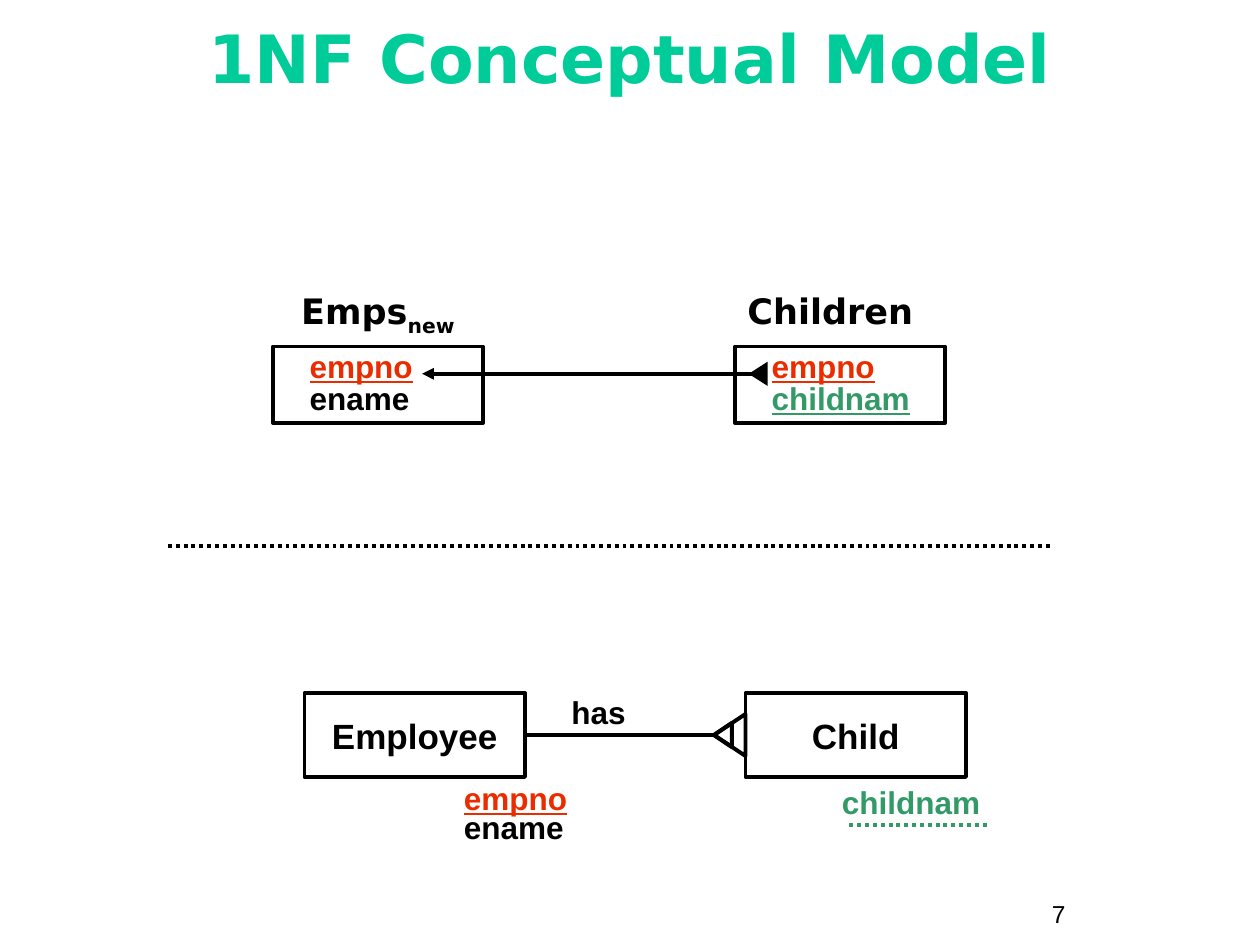
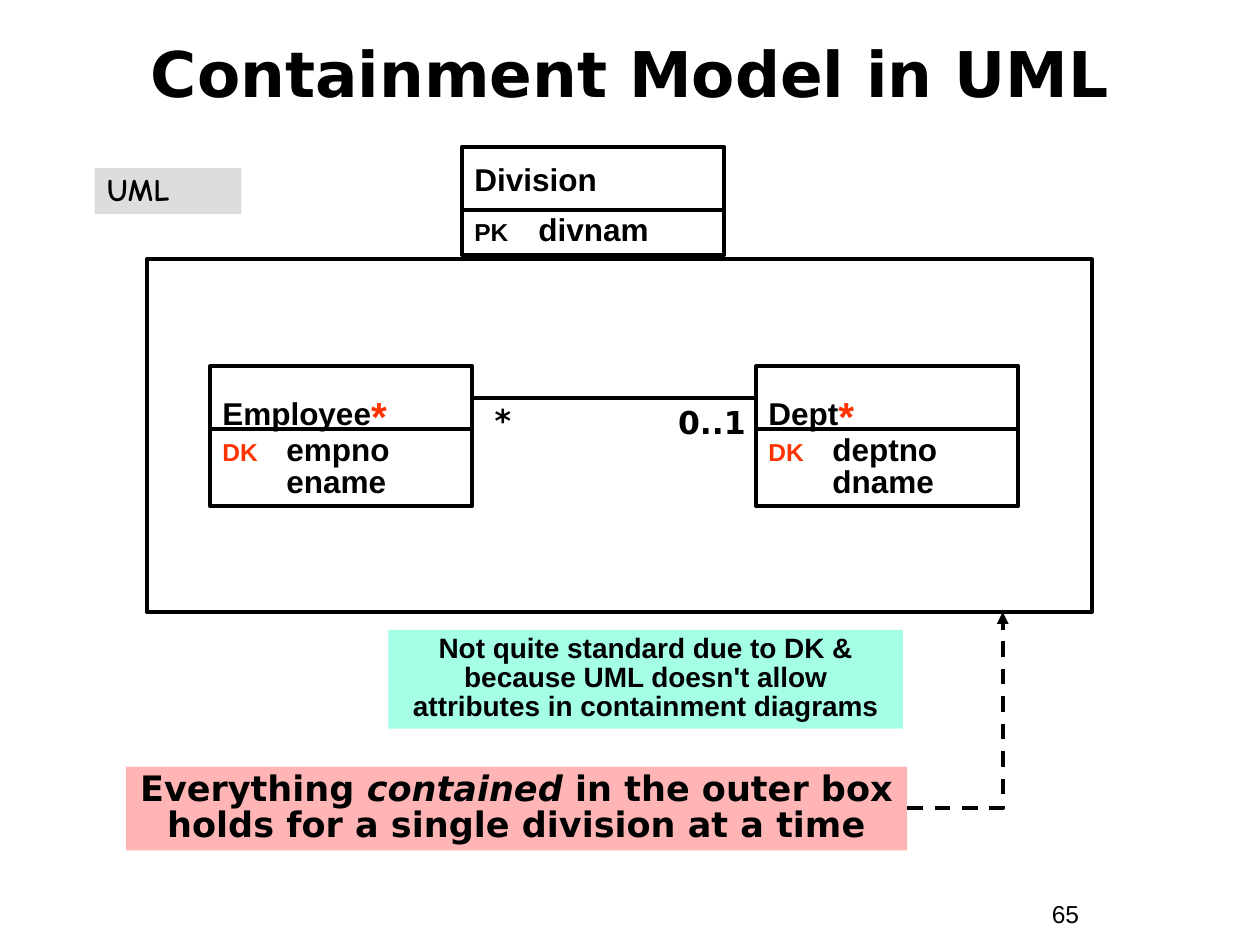
from dataclasses import dataclass
from typing import NamedTuple, Optional

from lxml.etree import SubElement
from pptx import Presentation
from pptx.dml.color import RGBColor
from pptx.enum.dml import MSO_LINE
from pptx.enum.shapes import MSO_CONNECTOR, MSO_SHAPE
from pptx.enum.text import MSO_ANCHOR, PP_ALIGN
from pptx.oxml.ns import qn
from pptx.util import Inches, Pt

COLUMNS, ROWS = 120, 90
UNIT = Inches(10) // COLUMNS  # columns and rows are equally wide


@dataclass(frozen=True)
class Theme:
    sans: str = "Arial"
    display: str = "DejaVu Sans"
    hand: str = "Comic Neue"
    ink: str = "000000"
    title_green: str = "00CC99"
    key_red: str = "EA2D00"
    child_green: str = "339966"
    mark_red: str = "FF3300"
    mint: str = "A5FFE7"
    pink: str = "FFB5B5"
    grey: str = "DDDDDD"
    small: int = 14
    note: int = 16
    body: int = 18
    label: int = 20
    star: int = 40
    line: float = 2.25
    tight: float = 0.85


T = Theme()


class Box(NamedTuple):
    x: float
    y: float
    w: float
    h: float


class Span(NamedTuple):
    """A piece of text; unset values come from the text box's format."""
    text: str
    color: Optional[str] = None
    size: Optional[int] = None
    underline: bool = False
    italic: bool = False
    baseline: int = 0


class Table(NamedTuple):
    """A relational table with its heading drawn above."""
    x: float
    heading: list
    heading_box: Box
    columns: list


class Entity(NamedTuple):
    name: str
    x: float
    attributes: list
    attribute_box: Box


class UmlClass(NamedTuple):
    x: float
    y: float
    name: list
    attributes: list
    body_height: float


def grid(*units: float) -> list:
    return [round(u * UNIT) for u in units]


def write(sp, lines, size=T.body, font=T.sans, color=T.ink, bold=True,
          align=PP_ALIGN.LEFT, anchor=MSO_ANCHOR.TOP, spacing=(1.0,),
          indent=0.0, tab=0.0):
    """Fill a shape; each line is a string or a list of spans.

    The last value of spacing serves all the lines that follow.
    """
    tf = sp.text_frame
    tf.word_wrap = True
    tf.vertical_anchor = anchor
    tf.margin_left = tf.margin_right = Inches(0.1)
    tf.margin_top = tf.margin_bottom = Inches(0.05)
    for i, line in enumerate(lines):
        p = tf.add_paragraph() if i else tf.paragraphs[0]
        pPr = p._p.get_or_add_pPr()
        if indent:
            pPr.set("marL", str(grid(indent)[0]))
            pPr.set("indent", "0")
        if tab:
            tabs = SubElement(pPr, qn("a:tabLst"))
            SubElement(tabs, qn("a:tab"), pos=str(grid(tab)[0]), algn="l")
        p.alignment = align
        p.line_spacing = spacing[min(i, len(spacing) - 1)]
        for span in [Span(line)] if isinstance(line, str) else line:
            r = p.add_run()
            r.text = span.text
            f = r.font
            f.name, f.size, f.bold = font, Pt(span.size or size), bold
            f.color.rgb = RGBColor.from_string(span.color or color)
            f.underline, f.italic = span.underline, span.italic
            if span.baseline:
                r._r.get_or_add_rPr().set("baseline", str(span.baseline * 1000))


def add_text(s, box: Box, lines, **text_format):
    write(s.shapes.add_textbox(*grid(*box)), lines, **text_format)


def add_shape(s, box: Box, fill: Optional[str] = None, outlined=True,
              kind=MSO_SHAPE.RECTANGLE):
    sp = s.shapes.add_shape(kind, *grid(*box))
    sp.shadow.inherit = False
    if fill:
        sp.fill.solid()
        sp.fill.fore_color.rgb = RGBColor.from_string(fill)
    else:
        sp.fill.background()
    if outlined:
        sp.line.color.rgb = RGBColor.from_string(T.ink)
        sp.line.width = Pt(T.line)
    else:
        sp.line.fill.background()
    return sp


def add_panel(s, box: Box, fill: str, lines, **text_format):
    write(add_shape(s, box, fill, outlined=False), lines, **text_format)


def add_left_triangle(s, tip_x: float, tip_y: float, length: float,
                      base: float, **look):
    x = tip_x + (length - base) / 2
    box = Box(x, tip_y - length / 2, base, length)
    add_shape(s, box, kind=MSO_SHAPE.ISOSCELES_TRIANGLE, **look).rotation = 270


def add_line(s, start, end, color=T.ink, dash=None, arrow=False, bent=False):
    kind = MSO_CONNECTOR.ELBOW if bent else MSO_CONNECTOR.STRAIGHT
    c = s.shapes.add_connector(kind, *grid(*start, *end))
    c.line.color.rgb = RGBColor.from_string(color)
    c.line.width = Pt(T.line)
    if dash:
        c.line.dash_style = dash
    spPr = c._element.spPr
    if arrow:
        SubElement(c.line._get_or_add_ln(), qn("a:tailEnd"), type="triangle")
    if bent:
        spPr.find(qn("a:prstGeom")).set("prst", "bentConnector2")
    SubElement(spPr, qn("a:effectLst"))
    return c


def add_slide(prs, title: str, number: str, height: float, **title_format):
    s = prs.slides.add_slide(prs.slide_layouts[6])
    add_text(s, Box(99, 85, 11, 4), [number], size=T.small, bold=False)
    add_text(s, Box(4, 2, 112, height), [title], font=T.display,
             align=PP_ALIGN.CENTER, anchor=MSO_ANCHOR.MIDDLE,
             spacing=(T.tight,), **title_format)
    return s


def draw_table(s, table: Table):
    add_text(s, table.heading_box, [table.heading], size=T.label,
             font=T.display)
    write(add_shape(s, Box(table.x, 33, 20, 7.3)), table.columns,
          spacing=(T.tight,), indent=2.3)


def draw_entity(s, entity: Entity):
    sp = add_shape(s, Box(entity.x, 66, 21, 8))
    write(sp, [entity.name], size=T.label, align=PP_ALIGN.CENTER,
          anchor=MSO_ANCHOR.MIDDLE)
    add_text(s, entity.attribute_box, entity.attributes, spacing=(0.9, 0.75))
    return sp


def draw_uml_class(s, uml: UmlClass):
    """Draw both compartments and return the one with the name."""
    head = add_shape(s, Box(uml.x, uml.y, 25, 6))
    write(head, [uml.name], anchor=MSO_ANCHOR.MIDDLE)
    body = add_shape(s, Box(uml.x, uml.y + 6, 25, uml.body_height))
    write(body, uml.attributes, spacing=(T.tight,), tab=6.1)
    return head


def conceptual_model(prs):
    s = add_slide(prs, "1NF Conceptual Model", "7", 8, size=38,
                  color=T.title_green)
    key = [Span("empno", T.key_red, underline=True)]
    tables = [
        Table(26, [Span("Emps"), Span("new", baseline=-25)],
              Box(27.5, 27, 19.2, 5.8), [key, "ename"]),
        Table(70, [Span("Children")], Box(70, 27, 20, 5.3),
              [key, [Span("childnam", T.child_green, underline=True)]]),
    ]
    for table in tables:
        draw_table(s, table)
    add_line(s, (72.8, 35.6), (40.2, 35.6), arrow=True)
    add_left_triangle(s, 71.3, 35.6, 1.8, 2.3, fill=T.ink, outlined=False)

    add_line(s, (16, 52), (100, 52), dash=MSO_LINE.ROUND_DOT)

    employee = draw_entity(s, Entity("Employee", 29, [key, "ename"],
                                     Box(43, 74, 16, 7.2)))
    draw_entity(s, Entity("Child", 71, [[Span("childnam", T.child_green)]],
                          Box(79, 74.4, 20, 4.4)))
    add_line(s, (80.9, 78.6), (94, 78.6), color=T.child_green,
             dash=MSO_LINE.ROUND_DOT)
    add_line(s, (50, 70), (68, 70)).begin_connect(employee, 3)
    add_text(s, Box(50, 65.4, 14, 4.8), ["has"], align=PP_ALIGN.CENTER)
    for length, base in ((3, 4), (1.7, 2.3)):
        add_left_triangle(s, 68, 70, length, base)


def containment_model(prs):
    s = add_slide(prs, "Containment Model in UML", "65", 11, size=36)
    add_shape(s, Box(14, 24.7, 90, 33.6))
    star = Span("*", T.mark_red, T.star, baseline=-8)
    dependent_key = Span("DK", T.mark_red, T.small)
    classes = [
        UmlClass(44, 14, [Span("Division")],
                 [[Span("PK", size=T.small), Span("\tdivnam")]], 4.3),
        UmlClass(20, 34.9, [Span("Employee"), star],
                 [[dependent_key, Span("\tempno")], "\tename"], 7.3),
        UmlClass(72, 34.9, [Span("Dept"), star],
                 [[dependent_key, Span("\tdeptno")], "\tdname"], 7.3),
    ]
    _, employee, dept = [draw_uml_class(s, uml) for uml in classes]
    link = add_line(s, (45, 37.9), (72, 37.9))
    link.begin_connect(employee, 3)
    link.end_connect(dept, 1)
    add_text(s, Box(44.9, 38, 6, 4.4), ["*"], font=T.display,
             align=PP_ALIGN.CENTER, spacing=(0.9,))
    add_text(s, Box(62.8, 37.8, 10, 4.8), ["0..1"], font=T.display,
             align=PP_ALIGN.CENTER)

    add_panel(s, Box(9, 16, 14, 4.4), T.grey, ["UML"], font=T.hand,
              spacing=(0.9,))
    add_panel(s, Box(37, 60, 49, 9.4), T.mint,
              ["Not quite standard due to DK & because UML doesn't allow "
               "attributes in containment diagrams"],
              size=T.note, align=PP_ALIGN.CENTER, spacing=(T.tight,))
    add_panel(s, Box(12, 73, 74.4, 8), T.pink,
              [[Span("Everything "), Span("contained", italic=True),
                Span(" in the outer box holds for a single division at a time")]],
              size=T.label, font=T.display, align=PP_ALIGN.CENTER,
              spacing=(T.tight,))
    add_line(s, (86.4, 77), (95.5, 58.3), dash=MSO_LINE.DASH, arrow=True,
             bent=True)


def main():
    prs = Presentation()
    prs.slide_width, prs.slide_height = grid(COLUMNS, ROWS)
    conceptual_model(prs)
    containment_model(prs)
    prs.save("out.pptx")


if __name__ == "__main__":
    main()
